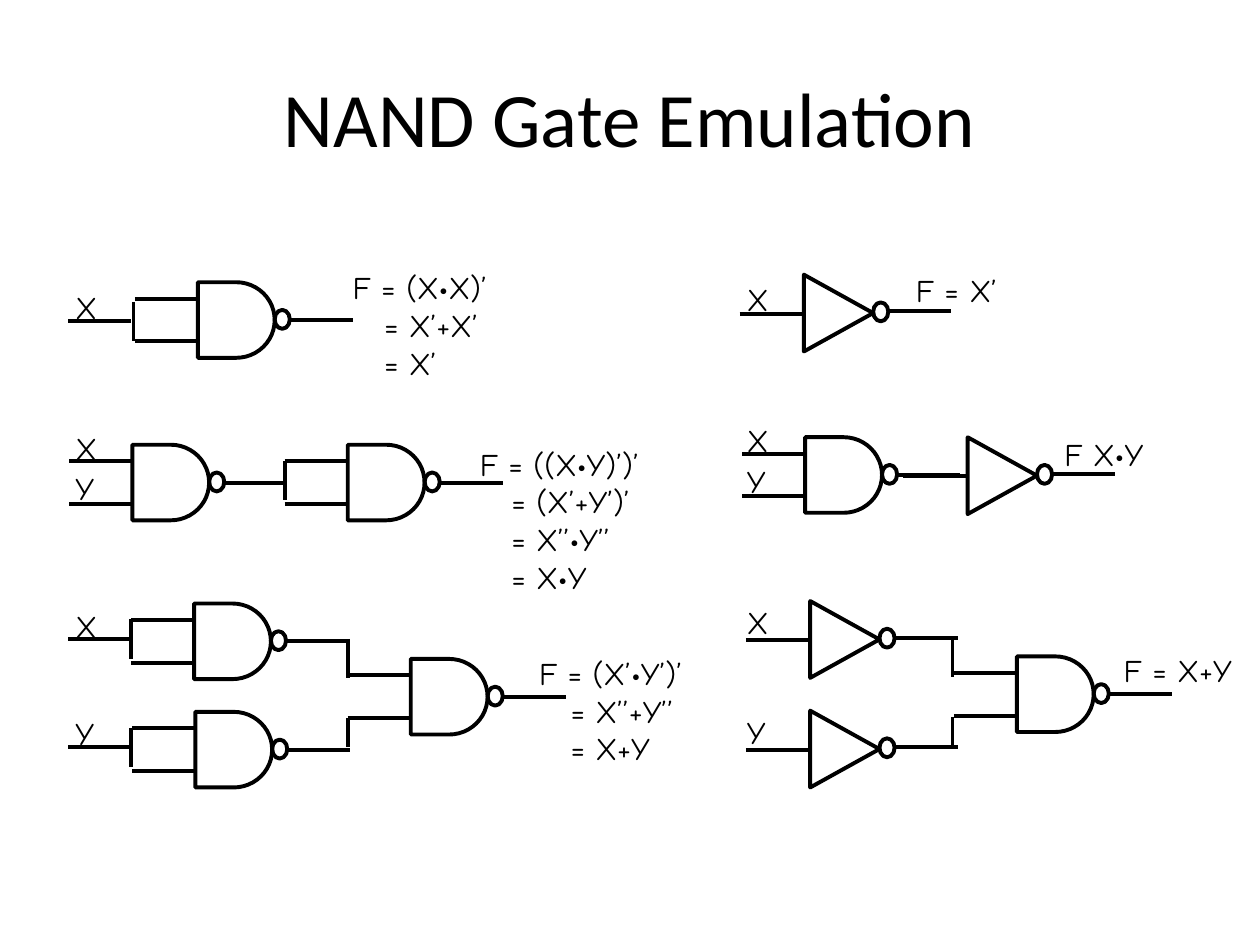
import pptx
import pptx.util
import pptx.dml.color
import pptx.enum.shapes
import pptx.enum.text
from lxml import etree

Inches, Pt = pptx.util.Inches, pptx.util.Pt
SHAPES = pptx.enum.shapes.MSO_SHAPE
BLACK = "000000"
TITLE = "NAND Gate Emulation"

# Left and top of each gate; its leads and bubble follow from these
NAND_GATES = [(1.57, 2.24), (1.05, 3.53), (2.76, 3.53), (1.54, 4.79),
              (1.55, 5.65), (3.26, 5.23), (6.39, 3.47), (8.07, 5.21)]
INVERTERS = [(6.35, 2.21), (7.65, 3.5), (6.4, 4.8), (6.4, 5.67)]

# Vertical joints: x, top, bottom
JOINTS = [(1.06, 2.4, 2.71), (2.26, 3.66, 3.97), (1.04, 4.91, 5.23),
          (1.04, 5.78, 6.09), (2.76, 5.07, 5.38), (2.76, 5.7, 5.93),
          (7.56, 5.05, 5.37), (7.56, 5.69, 5.93)]

# Single inputs that feed both leads of a gate: left, y
TIED_INPUTS = [(0.54, 2.55), (0.54, 5.07), (0.54, 5.93)]

# Input labels: column left, then letter and top
INPUT_LABELS = {
    0.5: [("X", 2.24), ("X", 3.36), ("Y", 3.67), ("X", 4.77), ("Y", 5.62)],
    5.83: [("X", 2.17), ("X", 3.29), ("Y", 3.62), ("X", 4.74), ("Y", 5.61)],
}

# Output formulas: left, top, width, lines
FORMULAS = [
    (2.7, 2.08, 2.34, ["F = (X•X)’", "= X’+X’", "= X’"]),
    (3.71, 3.48, 2.66, ["F = ((X•Y)’)’", "= (X’+Y’)’", "= X’’•Y’’", "= X•Y"]),
    (4.18, 5.14, 2.66, ["F = (X’•Y’)’", "= X’’+Y’’", "= X+Y"]),
    (7.17, 2.1, 2.35, ["F = X’"]),
    (8.35, 3.4, 0.86, ["F X•Y"]),
    (8.82, 5.12, 1.18, ["F = X+Y"]),
]

LEAD = 0.5
LINE_HEIGHT = 0.3

deck = pptx.Presentation()
deck.slide_width, deck.slide_height = Inches(10), Inches(7.5)
page = deck.slides.add_slide(deck.slide_layouts[5])


def set_color(target, value):
    target.rgb = pptx.dml.color.RGBColor.from_string(value)


def add_wire(x1, y1, x2, y2, weight=2.25):
    wire = page.shapes.add_connector(
        pptx.enum.shapes.MSO_CONNECTOR.STRAIGHT,
        Inches(x1), Inches(y1), Inches(x2), Inches(y2))
    set_color(wire.line.color, BLACK)
    wire.line.width = Pt(weight)
    etree.SubElement(wire.line._get_or_add_ln().getparent(),
                     pptx.oxml.ns.qn("a:effectLst"))


def add_outline(kind, left, top, width, height, rotation=0):
    shape = page.shapes.add_shape(
        kind, Inches(left), Inches(top), Inches(width), Inches(height))
    shape.rotation = rotation
    shape.shadow.inherit = False
    shape.fill.background()
    set_color(shape.line.color, BLACK)
    shape.line.width = Pt(2.25)


def add_bubble(left, top):
    add_outline(SHAPES.OVAL, left, top, 0.12, 0.15)


def add_nand(left, top):
    add_outline(SHAPES.FLOWCHART_DELAY, left, top, 0.61, 0.6)
    for y in (top + 0.13, top + 0.47):
        add_wire(left - LEAD, y, left, y)
    add_bubble(left + 0.61, top + 0.22)
    add_wire(left + 0.73, top + 0.3, left + 0.73 + LEAD, top + 0.3)


def add_inverter(left, top):
    add_wire(left + 0.02 - LEAD, top + 0.28, left + 0.02, top + 0.28)
    add_outline(SHAPES.ISOSCELES_TRIANGLE, left, top, 0.61, 0.55, 90)
    add_bubble(left + 0.58, top + 0.19)
    add_wire(left + 0.7, top + 0.26, left + 0.7 + LEAD, top + 0.26)


def format_text(para, size, font):
    for span in para.runs:
        span.font.size = Pt(size)
        span.font.name = font
        set_color(span.font.color, BLACK)


def add_text(left, top, width, lines):
    height = 0.1 + LINE_HEIGHT * len(lines)
    box = page.shapes.add_textbox(
        Inches(left), Inches(top), Inches(width), Inches(height))
    frame = box.text_frame
    frame.word_wrap = True
    frame.auto_size = pptx.enum.text.MSO_AUTO_SIZE.SHAPE_TO_FIT_TEXT
    frame.text = "\n".join(lines)
    for para in frame.paragraphs:
        if para.text.startswith("="):
            # Align continuation lines under the first equals sign
            para._p.get_or_add_pPr().set("marL", str(Inches(0.25)))
        format_text(para, 18, "Comic Neue")


# Title
title = page.shapes.title
title.left, title.top = Inches(0.5), Inches(0.3)
title.width, title.height = Inches(9), Inches(1.25)
title.text_frame.text = TITLE
title.text_frame.vertical_anchor = pptx.enum.text.MSO_ANCHOR.MIDDLE
title.text_frame.paragraphs[0].alignment = pptx.enum.text.PP_ALIGN.CENTER
format_text(title.text_frame.paragraphs[0], 44, "Calibri")

# Gates and wiring
for gate in NAND_GATES:
    add_nand(*gate)
for gate in INVERTERS:
    add_inverter(*gate)
for x, top, bottom in JOINTS:
    add_wire(x, top, x, bottom, 2)
for x, y in TIED_INPUTS:
    add_wire(x, y, x + LEAD, y)

# Labels and formulas
for column, labels in INPUT_LABELS.items():
    for letter, top in labels:
        add_text(column, top, 0.41, [letter])
for formula in FORMULAS:
    add_text(*formula)

deck.save("out.pptx")
